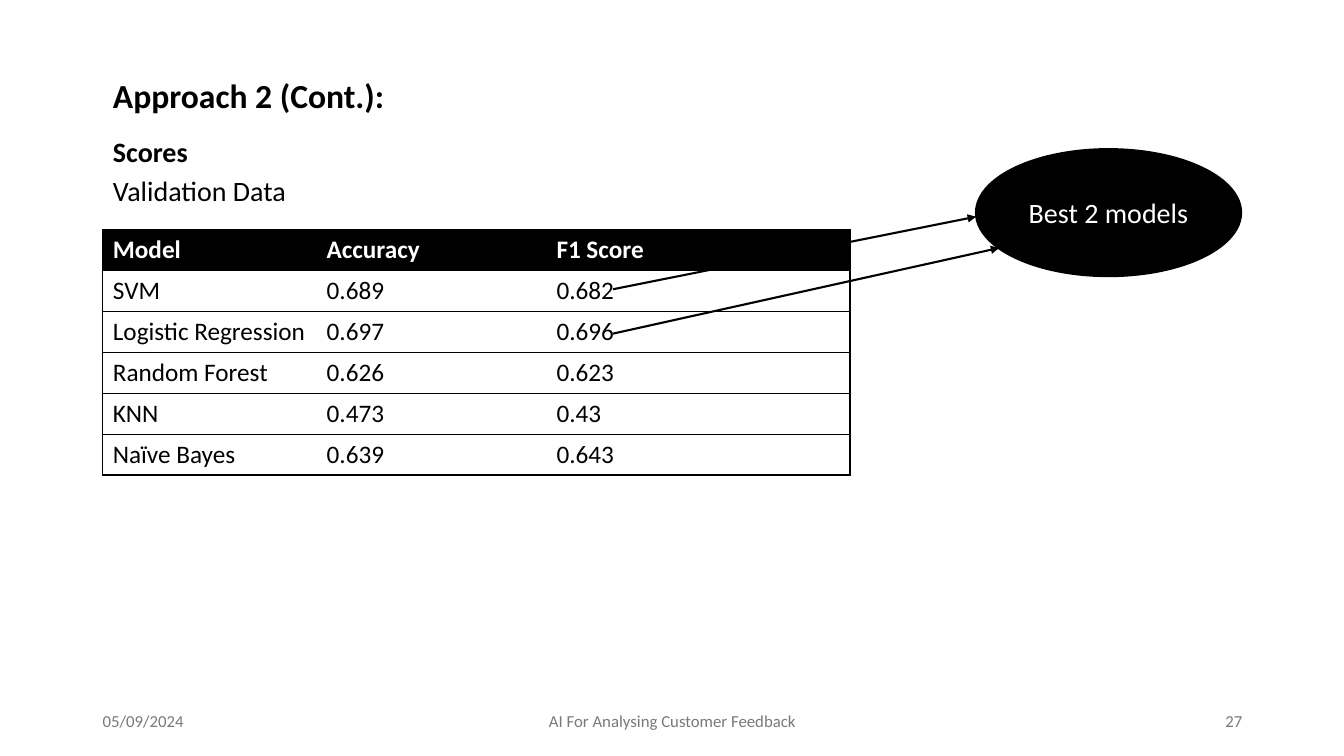
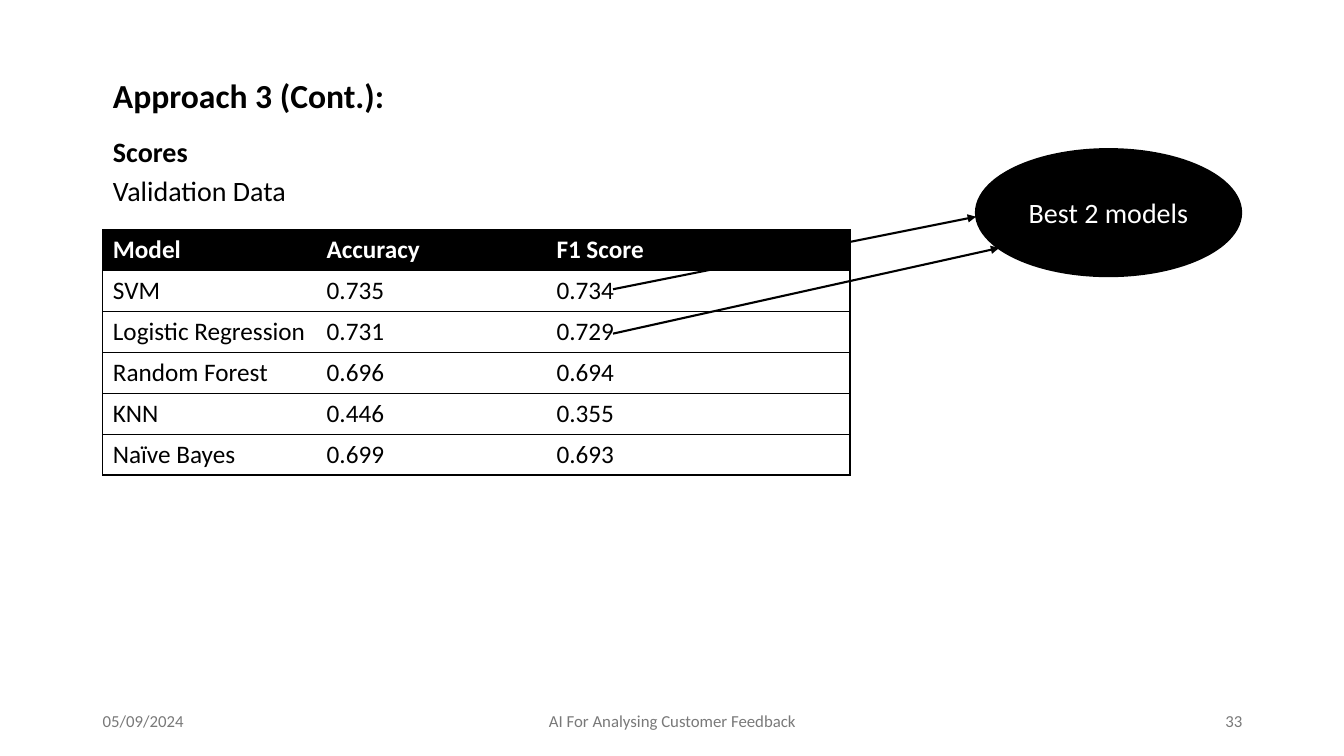
from dataclasses import dataclass

from lxml import etree
from pptx import Presentation
from pptx.dml.color import RGBColor
from pptx.enum.shapes import MSO_CONNECTOR, MSO_SHAPE
from pptx.enum.text import MSO_ANCHOR, MSO_AUTO_SIZE, PP_ALIGN
from pptx.oxml.ns import qn
from pptx.util import Emu, Pt

LEFT, CENTER, RIGHT = PP_ALIGN.LEFT, PP_ALIGN.CENTER, PP_ALIGN.RIGHT
TOP, MIDDLE = MSO_ANCHOR.TOP, MSO_ANCHOR.MIDDLE
NO_FIT = MSO_AUTO_SIZE.NONE
STRAIGHT, ELLIPSE = MSO_CONNECTOR.STRAIGHT, MSO_SHAPE.OVAL
TITLE_AND_CONTENT = 1

EMU_PER_PX = 9144  # 100 px to the inch
FONT = "Calibri"
COLORS = {"ink": "000000", "paper": "FFFFFF", "footer": "797979"}
COLUMN_WIDTHS = (212, 228, 301)
ROW_HEIGHT = 40
HEADINGS = ("Model", "Accuracy", "F1 Score")
MODELS = ("SVM", "Logistic Regression", "Random Forest", "KNN", "Naïve Bayes")


@dataclass(frozen=True)
class Box:
    left: int
    top: int
    width: int
    height: int


@dataclass(frozen=True)
class Arrow:
    start: tuple[int, int]
    end: tuple[int, int]


@dataclass(frozen=True)
class FooterPart:
    box: Box
    align: PP_ALIGN
    text: str = ""


@dataclass(frozen=True)
class ScorePage:
    title: str
    number: int
    scores: tuple[tuple[str, str], ...]


TITLE_BOX = Box(102, 69, 366, 50)
BODY_BOX = Box(102, 128, 366, 84)
TABLE_BOX = Box(102, 228, sum(COLUMN_WIDTHS), ROW_HEIGHT * (len(MODELS) + 1))
CALLOUT_BOX = Box(968, 148, 263, 126)
ARROWS = (Arrow((608, 287), (968, 215)), Arrow((608, 331), (991, 246)))
DATE = FooterPart(Box(92, 695, 300, 40), LEFT, "05/09/2024")
TOPIC = FooterPart(Box(442, 695, 450, 40), CENTER,
                   "AI For Analysing Customer Feedback")
PAGE_NUMBER = FooterPart(Box(942, 695, 300, 40), RIGHT)

PAGES = (
    ScorePage("Approach 2 (Cont.):", 27, (
        ("0.689", "0.682"), ("0.697", "0.696"), ("0.626", "0.623"),
        ("0.473", "0.43"), ("0.639", "0.643"))),
    ScorePage("Approach 3 (Cont.):", 33, (
        ("0.735", "0.734"), ("0.731", "0.729"), ("0.696", "0.694"),
        ("0.446", "0.355"), ("0.699", "0.693"))),
)


def px(length: int) -> Emu:
    return Emu(length * EMU_PER_PX)


def color(name: str) -> RGBColor:
    return RGBColor.from_string(COLORS[name])


def edges(box: Box) -> tuple[Emu, ...]:
    return tuple(map(px, (box.left, box.top, box.width, box.height)))


def write(para, text: str, *, size: int, ink: str = "ink", bold: bool = False,
          align: PP_ALIGN = LEFT, space_before: float = 0) -> None:
    para.alignment = align
    para.space_before = Pt(space_before)
    span = para.add_run()
    span.text = text
    span.font.name = FONT
    span.font.size = Pt(size)
    span.font.bold = bold
    span.font.color.rgb = color(ink)


def place(shape, box: Box, anchor: MSO_ANCHOR):
    """Move a text shape into its box and return its text frame."""
    shape.left, shape.top, shape.width, shape.height = edges(box)
    frame = shape.text_frame
    frame.word_wrap = True
    frame.auto_size = NO_FIT
    frame.vertical_anchor = anchor
    return frame


def remove_bullet(para) -> None:
    properties = para._p.get_or_add_pPr()
    properties.set("marL", "0")
    properties.set("indent", "0")
    etree.SubElement(properties, qn("a:buNone"))


def add_headings(page, title: str) -> None:
    frame = place(page.shapes.title, TITLE_BOX, TOP)
    write(frame.paragraphs[0], title, size=24, bold=True)
    frame = place(page.placeholders[1], BODY_BOX, TOP)
    scores, data = frame.paragraphs[0], frame.add_paragraph()
    for para in (scores, data):
        remove_bullet(para)
    write(scores, "Scores", size=20, bold=True)
    write(data, "Validation Data", size=20, space_before=4.5)


def set_borders(cell, visible: dict[str, bool]) -> None:
    properties = cell._tc.get_or_add_tcPr()
    for side, shown in visible.items():
        line = etree.SubElement(properties, qn(f"a:ln{side}"), w=str(Pt(1)))
        if shown:
            fill = etree.SubElement(line, qn("a:solidFill"))
            etree.SubElement(fill, qn("a:srgbClr"), val=COLORS["ink"])
        else:
            etree.SubElement(line, qn("a:noFill"))


def add_score_table(page, scores: tuple[tuple[str, str], ...]) -> None:
    rows = [HEADINGS] + [(model, *pair) for model, pair in zip(MODELS, scores)]
    last = len(HEADINGS) - 1
    table = page.shapes.add_table(len(rows), len(HEADINGS),
                                  *edges(TABLE_BOX)).table
    table.horz_banding = False
    for column, width in zip(table.columns, COLUMN_WIDTHS):
        column.width = px(width)
    for r, texts in enumerate(rows):
        table.rows[r].height = px(ROW_HEIGHT)
        header = r == 0
        for c, text in enumerate(texts):
            cell = table.cell(r, c)
            set_borders(cell, {"L": c == 0, "R": c == last, "T": True, "B": True})
            cell.fill.solid()
            cell.fill.fore_color.rgb = color("ink" if header else "paper")
            write(cell.text_frame.paragraphs[0], text, size=18, bold=header,
                  ink="paper" if header else "ink")


def add_arrow(page, arrow: Arrow) -> None:
    connector = page.shapes.add_connector(
        STRAIGHT, *map(px, arrow.start + arrow.end))
    connector.line.color.rgb = color("ink")
    connector.line.width = Pt(1.5)
    etree.SubElement(connector.line._get_or_add_ln(), qn("a:tailEnd"),
                     type="triangle")
    etree.SubElement(connector._element.spPr, qn("a:effectLst"))


def add_callout(page, text: str) -> None:
    ellipse = page.shapes.add_shape(ELLIPSE, *edges(CALLOUT_BOX))
    ellipse.shadow.inherit = False
    ellipse.fill.solid()
    ellipse.fill.fore_color.rgb = color("ink")
    ellipse.line.color.rgb = color("ink")
    ellipse.line.width = Pt(1.5)
    frame = place(ellipse, CALLOUT_BOX, MIDDLE)
    write(frame.paragraphs[0], text, size=20, ink="paper", align=CENTER)


def add_footer(page, number: int) -> None:
    for part in (DATE, TOPIC, PAGE_NUMBER):
        shape = page.shapes.add_textbox(*edges(part.box))
        frame = place(shape, part.box, MIDDLE)
        write(frame.paragraphs[0], part.text or str(number), size=12,
              ink="footer", align=part.align)


def add_score_page(deck, content: ScorePage) -> None:
    page = deck.slides.add_slide(deck.slide_layouts[TITLE_AND_CONTENT])
    add_headings(page, content.title)
    add_score_table(page, content.scores)
    add_callout(page, "Best 2 models")
    for arrow in ARROWS:
        add_arrow(page, arrow)
    add_footer(page, content.number)


def main() -> None:
    deck = Presentation()
    deck.slide_width, deck.slide_height = px(1333), px(750)
    for content in PAGES:
        add_score_page(deck, content)
    deck.save("out.pptx")


if __name__ == "__main__":
    main()
